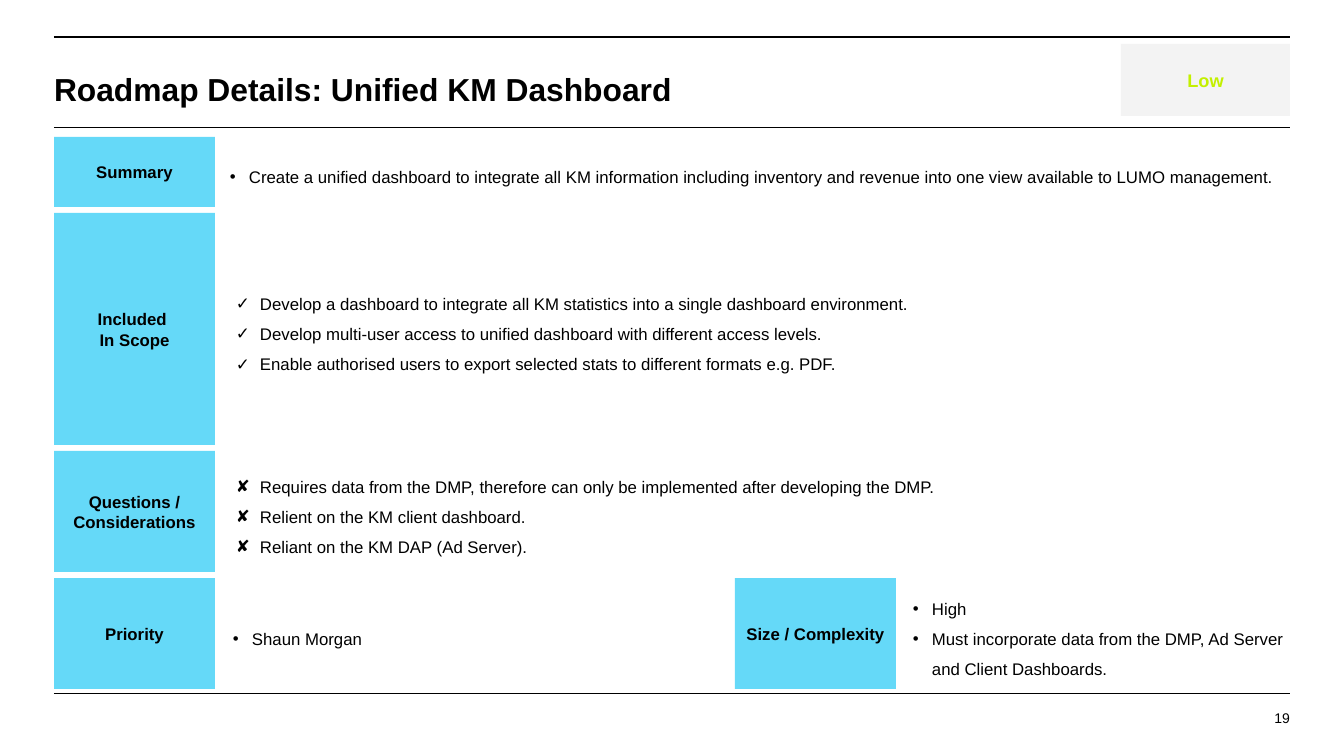
from dataclasses import dataclass

from lxml import etree
from pptx import Presentation
from pptx.dml.color import RGBColor
from pptx.enum.shapes import MSO_CONNECTOR, MSO_SHAPE
from pptx.enum.text import MSO_ANCHOR, PP_ALIGN
from pptx.oxml.ns import qn
from pptx.util import Pt

EMU_PER_PX = 914400 / 100.8
STRAIGHT = MSO_CONNECTOR.STRAIGHT
RECTANGLE = MSO_SHAPE.RECTANGLE
MIDDLE, TOP = MSO_ANCHOR.MIDDLE, MSO_ANCHOR.TOP
LEFT, CENTER, RIGHT = PP_ALIGN.LEFT, PP_ALIGN.CENTER, PP_ALIGN.RIGHT


@dataclass(frozen=True)
class Theme:
    font: str = "Arial"
    ink: str = "000000"
    label_fill: str = "65D9F8"
    badge_fill: str = "F3F3F3"
    badge_ink: str = "C3F000"
    title_size: float = 22.7
    badge_size: float = 13
    body_size: float = 12
    page_size: float = 10
    tight: float = 1.03
    loose: float = 1.5


def px(length):
    return round(length * EMU_PER_PX)


class Deck:
    def __init__(self, theme, width, height):
        self.theme = theme
        self.prs = Presentation()
        self.prs.slide_width, self.prs.slide_height = px(width), px(height)
        self.slide = self.prs.slides.add_slide(self.prs.slide_layouts[5])

    def set_text(self, shape, lines, size, color=None, bold=False, align=LEFT,
                 anchor=MIDDLE, spacing=1.0, bullet=None, indent=0):
        frame = shape.text_frame
        frame.word_wrap = True
        frame.vertical_anchor = anchor
        frame.margin_left = frame.margin_right = 0
        frame.margin_top = frame.margin_bottom = 0
        for i, line in enumerate(lines):
            paragraph = frame.paragraphs[0] if i == 0 else frame.add_paragraph()
            paragraph.text = line
            paragraph.alignment = align
            paragraph.line_spacing = spacing
            if bullet:
                self.add_bullet(paragraph, bullet, indent)
            font = paragraph.font
            font.name, font.size, font.bold = self.theme.font, Pt(size), bold
            font.color.rgb = RGBColor.from_string(color or self.theme.ink)

    def add_bullet(self, paragraph, mark, indent):
        props = paragraph._p.get_or_add_pPr()
        props.set("marL", str(px(indent)))
        props.set("indent", str(px(1 - indent)))
        color = etree.SubElement(props, qn("a:buClr"))
        etree.SubElement(color, qn("a:srgbClr"), val=self.theme.ink)
        etree.SubElement(props, qn("a:buFont"), typeface=self.theme.font)
        etree.SubElement(props, qn("a:buChar"), char=mark)

    def title(self, text, x, y, w, h):
        title = self.slide.shapes.title
        title.left, title.top, title.width, title.height = map(px, (x, y, w, h))
        self.set_text(title, [text], self.theme.title_size, bold=True,
                      spacing=self.theme.tight)

    def rule(self, x1, x2, y):
        line = self.slide.shapes.add_connector(
            STRAIGHT, px(x1), px(y), px(x2), px(y))
        line.line.width = Pt(0.75)
        line.line.color.rgb = RGBColor.from_string(self.theme.ink)
        etree.SubElement(line._element.spPr, qn("a:effectLst"))

    def block(self, lines, x, y, w, h, fill, size, color=None):
        block = self.slide.shapes.add_shape(RECTANGLE, *map(px, (x, y, w, h)))
        block.shadow.inherit = False
        block.fill.solid()
        block.fill.fore_color.rgb = RGBColor.from_string(fill)
        block.line.fill.background()
        self.set_text(block, lines, size, color, bold=True, align=CENTER,
                      spacing=self.theme.tight)

    def label(self, lines, x, y, w, h):
        self.block(lines, x, y, w, h, self.theme.label_fill, self.theme.body_size)

    def text(self, lines, x, y, w, h, size, **style):
        box = self.slide.shapes.add_textbox(*map(px, (x, y, w, h)))
        self.set_text(box, lines, size, **style)

    def bullets(self, lines, x, y, w, h, mark, indent):
        self.text(lines, x, y, w, h, self.theme.body_size,
                  spacing=self.theme.loose, bullet=mark, indent=indent)


MARGIN, RIGHT_EDGE = 54, 1290
LABEL_WIDTH = 161
FIRST_ROW, ROW_GAP = 137, 6
SIZE_LEFT = 735

# label lines, row height, bullet mark, indent, text left, text width, items
ROWS = [
    (["Summary"], 70, "•", 20, 229, 1055,
     ["Create a unified dashboard to integrate all KM information including "
      "inventory and revenue into one view available to LUMO management."]),
    (["Included ", "In Scope"], 232, "✓", 25, 235, 1055,
     ["Develop a dashboard to integrate all KM statistics into a single "
      "dashboard environment.",
      "Develop multi-user access to unified dashboard with different access levels.",
      "Enable authorised users to export selected stats to different formats "
      "e.g. PDF."]),
    (["Questions / Considerations"], 121, "✘", 25, 235, 1048,
     ["Requires data from the DMP, therefore can only be implemented after "
      "developing the DMP.",
      "Relient on the KM client dashboard.",
      "Reliant on the KM DAP (Ad Server)."]),
    (["Priority"], 111, "•", 20, 232, 477, ["Shaun Morgan"]),
]
COMPLEXITY = ["High",
              "Must incorporate data from the DMP, Ad Server and Client Dashboards."]


def main():
    theme = Theme()
    deck = Deck(theme, 1344, 756)
    for rule_y in (37, 128, 694):
        deck.rule(MARGIN, RIGHT_EDGE, rule_y)
    deck.title("Roadmap Details: Unified KM Dashboard",
               MARGIN, 52, RIGHT_EDGE - MARGIN, 72)
    deck.block(["Low"], 1121, 44, 169, 72, theme.badge_fill,
               theme.badge_size, theme.badge_ink)

    row_top = FIRST_ROW
    for heading, height, mark, indent, left, width, items in ROWS:
        deck.label(heading, MARGIN, row_top, LABEL_WIDTH, height)
        deck.bullets(items, left, row_top, width, height, mark, indent)
        row_top += height + ROW_GAP

    last_height = ROWS[-1][1]
    last_top = row_top - ROW_GAP - last_height
    deck.label(["Size / Complexity"], SIZE_LEFT, last_top, LABEL_WIDTH, last_height)
    deck.bullets(COMPLEXITY, 912, last_top, 397, last_height, "•", 20)

    deck.text(["19"], 1108, 710, 182, 32, theme.page_size,
              align=RIGHT, anchor=TOP)
    deck.prs.save("out.pptx")


if __name__ == "__main__":
    main()
